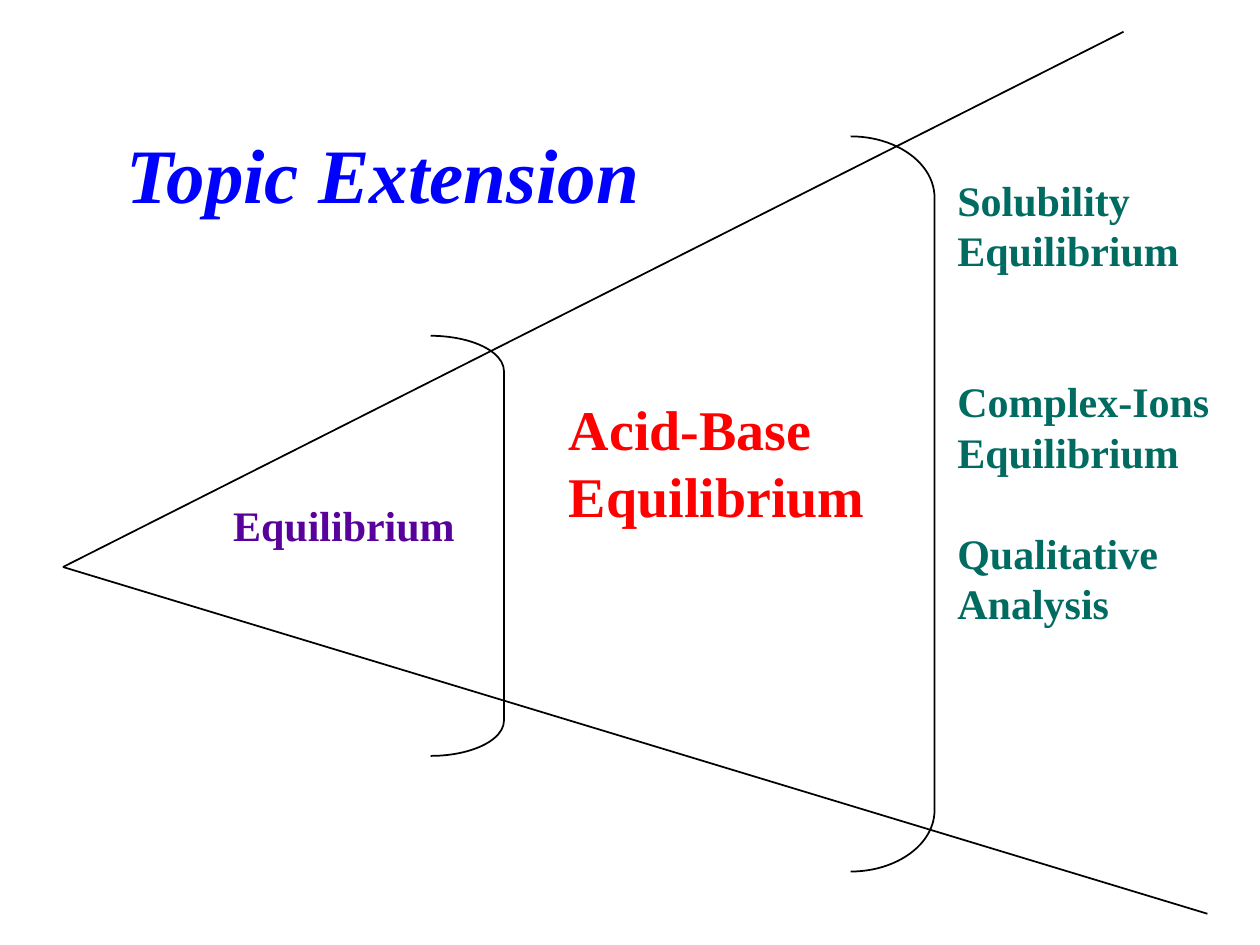
from lxml.etree import SubElement
from pptx import Presentation
from pptx.dml.color import RGBColor
from pptx.enum.shapes import MSO_CONNECTOR, MSO_SHAPE
from pptx.enum.text import MSO_ANCHOR, MSO_AUTO_SIZE, PP_ALIGN
from pptx.oxml.ns import qn
from pptx.util import Cm, Pt

FONT = "Times New Roman"
LINE_HEIGHT = 1.2
COLORS = {
    "title": "0000FF",
    "origin": "59019B",
    "middle": "FF0000",
    "extension": "006B61",
    "line": "000000",
}

TITLE = ("Topic Extension", (0.84, 1.9, 13.77, 3.18), 44)

TOPICS = [
    ("origin", (4.45, 9.95, 4.98, 1.27), 24, [("Equilibrium", 0)]),
    ("middle", (11.22, 7.83, 6.48, 2.97), 32, [("Acid-Base", 0), ("Equilibrium", 0)]),
    ("extension", (19.05, 3.39, 5.59, 11.43), 24, [
        ("Solubility", 0),
        ("Equilibrium", 0),
        ("Complex-Ions", 2),
        ("Equilibrium", 0),
        ("Qualitative", 1),
        ("Analysis", 0),
    ]),
]

APEX = (1.27, 11.43)
RAY_ENDS = [(22.65, 0.64), (24.34, 18.42)]
BRACKETS = [
    ((8.68, 6.77, 1.48, 8.47), 0.48),
    ((17.15, 2.75, 1.69, 14.82), 0.73),
]


def lengths(values):
    return [Cm(value) for value in values]


def style_line(line):
    line.color.rgb = RGBColor.from_string(COLORS["line"])
    line.width = Pt(1)


def add_text(slide, box, rows, size, color, italic=False,
             align=PP_ALIGN.LEFT, anchor=MSO_ANCHOR.TOP, wrap=False):
    frame = slide.shapes.add_textbox(*lengths(box)).text_frame
    frame.word_wrap = wrap
    frame.auto_size = MSO_AUTO_SIZE.NONE if wrap else MSO_AUTO_SIZE.SHAPE_TO_FIT_TEXT
    frame.vertical_anchor = anchor
    pitch = size * LINE_HEIGHT
    for index, (words, gap_lines) in enumerate(rows):
        paragraph = frame.add_paragraph() if index else frame.paragraphs[0]
        paragraph.alignment = align
        paragraph.line_spacing = Pt(pitch)
        paragraph.space_before = Pt(gap_lines * pitch)
        run = paragraph.add_run()
        run.text = words
        run.font.name = FONT
        run.font.size = Pt(size)
        run.font.bold = True
        run.font.italic = italic
        run.font.color.rgb = RGBColor.from_string(color)


def add_ray(slide, end):
    ray = slide.shapes.add_connector(MSO_CONNECTOR.STRAIGHT, *lengths(APEX + end))
    style_line(ray.line)
    SubElement(ray._element.spPr, qn("a:effectLst"))


def add_bracket(slide, box, curve):
    bracket = slide.shapes.add_shape(MSO_SHAPE.RIGHT_BRACKET, *lengths(box))
    bracket.adjustments[0] = curve
    bracket.shadow.inherit = False
    bracket.fill.background()
    style_line(bracket.line)


def main():
    deck = Presentation()
    deck.slide_width, deck.slide_height = Cm(25.4), Cm(19.05)
    slide = deck.slides.add_slide(deck.slide_layouts[6])

    words, box, size = TITLE
    add_text(slide, box, [(words, 0)], size, COLORS["title"], italic=True,
             align=PP_ALIGN.CENTER, anchor=MSO_ANCHOR.MIDDLE, wrap=True)
    for end in RAY_ENDS:
        add_ray(slide, end)
    for topic, box, size, rows in TOPICS:
        add_text(slide, box, rows, size, COLORS[topic])
    for box, curve in BRACKETS:
        add_bracket(slide, box, curve)

    deck.save("out.pptx")


if __name__ == "__main__":
    main()
